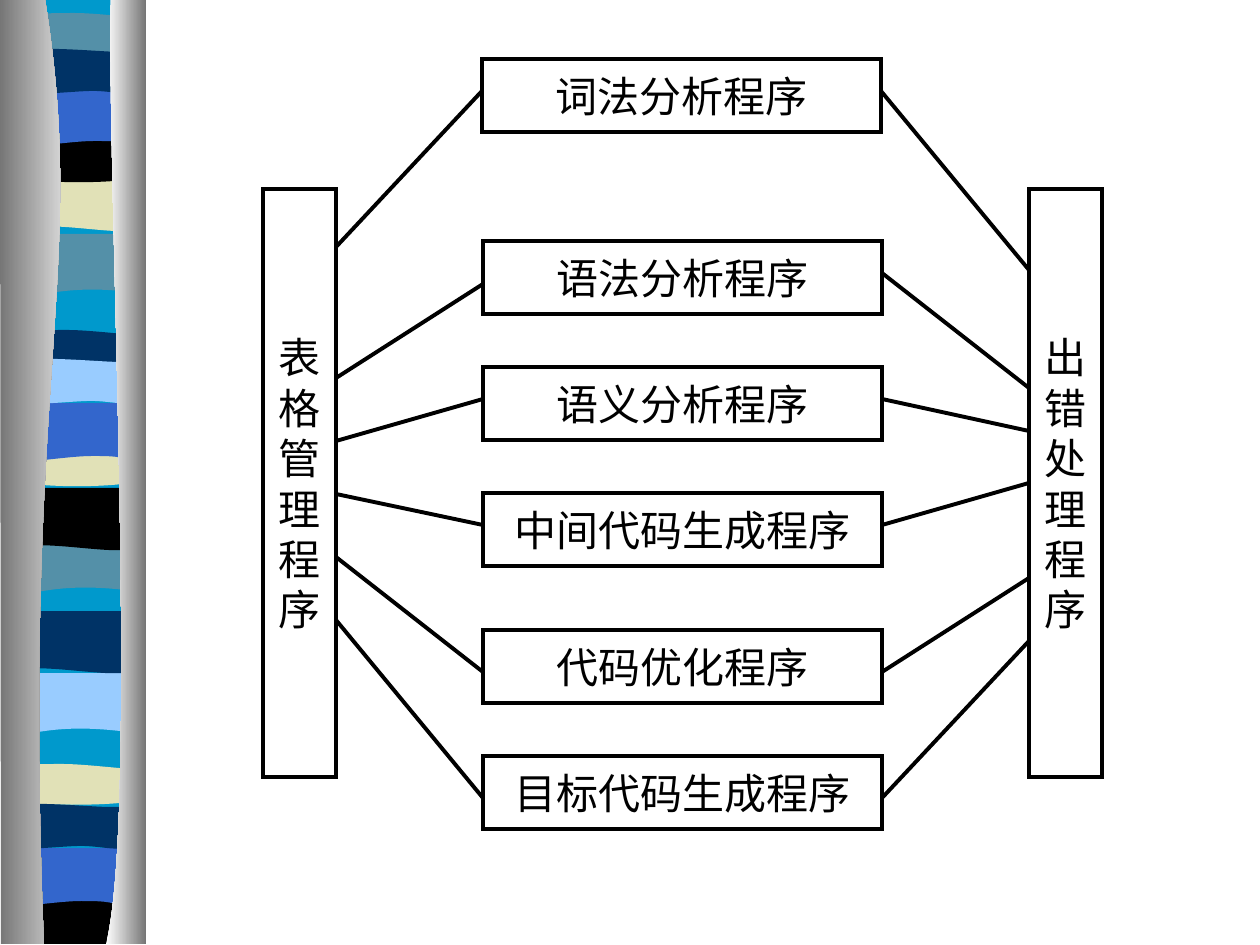
import lxml.etree
import pptx
import pptx.dml.color
import pptx.enum.shapes
import pptx.enum.text
import pptx.oxml.ns
import pptx.util

RGB = pptx.dml.color.RGBColor
BLACK, WHITE = RGB(0, 0, 0), RGB(255, 255, 255)
SKY, TEAL, NAVY = RGB(0x00, 0x99, 0xCC), RGB(0x54, 0x90, 0xA8), RGB(0x00, 0x33, 0x66)
BLUE, PALE, CREAM = RGB(0x33, 0x66, 0xCC), RGB(0x99, 0xCC, 0xFF), RGB(0xE1, 0xE1, 0xB7)
GREY = RGB(0x76, 0x76, 0x76)
FONT = "Times New Roman"
EMU_PER_PX = 914400 / 126

# Compiler stages: name, left, top, then line ends at table bar, box left, box right, error bar
STAGES = [
    ("语法分析程序", 483, 241, 378, 284, 273, 388),
    ("语义分析程序", 483, 367, 441, 399, 399, 431),
    ("目标代码生成程序", 483, 756, 620, 798, 798, 641),
    ("词法分析程序", 482, 59, 247, 91, 91, 270),
    ("中间代码生成程序", 483, 493, 494, 525, 525, 483),
    ("代码优化程序", 483, 630, 557, 672, 672, 578),
]
STAGE_W, BOX_THICK = 399, 73
TABLE_BAR, ERROR_BAR = ("表格管理程序", 263), ("出错处理程序", 1029)
BAR_TOP, BAR_H = 189, 588

# Outlines are a start point, then segments: one point for a line, three for a curve
FLAT_TOP = [[(0, 0)], [(122, 0)]]
DIP_TOP = [[(0, 0)], [(76, 6), (96, 0), (122, 0)]]
PROFILES = {
    "swell": FLAT_TOP + [[(122, 59)], [(38, 48), (20, 68), (0, 59)]],
    "ripple": FLAT_TOP + [[(122, 59)], [(102, 69), (38, 52), (0, 59)]],
    "arch": [[(0, 6)], [(8, 0), (27, 0), (52, 0)], [(73, 0), (112, 5), (122, 5)],
             [(122, 37)], [(102, 42), (20, 42), (0, 37)]],
    "dip": DIP_TOP + [[(122, 41)], [(102, 48), (20, 48), (0, 41)]],
    "end": DIP_TOP + [[(122, 47)], [(0, 47)]],
    "crest": FLAT_TOP + [[(122, 59)], [(103, 53), (96, 53), (76, 53)],
                         [(55, 53), (19, 59), (0, 59)]],
    "wave": [[(0, 7)], [(17, 0), (83, 7), (103, 7)], [(123, 7), (118, 7), (122, 7)],
             [(122, 46)], [(114, 52), (95, 46), (75, 46)], [(55, 46), (12, 52), (0, 46)]],
}
BASE = [[(18, -1)], [(140, -1)], [(140, 940)], [(18, 940)]]
BANDS = [  # profile, left, top, colour
    ("swell", 18, 234, TEAL), ("ripple", 23, 169, CREAM), ("arch", 23, 13, TEAL),
    ("dip", 18, 136, BLACK), ("crest", 18, 88, BLUE), ("wave", 18, 45, NAVY),
    ("swell", 11, 532, TEAL), ("ripple", 16, 488, BLACK), ("arch", 16, 330, NAVY),
    ("dip", 16, 440, CREAM), ("crest", 16, 403, BLUE), ("wave", 16, 355, PALE),
    ("swell", 6, 673, PALE), ("ripple", 13, 611, NAVY), ("arch", 11, 764, CREAM),
    ("end", 11, 897, BLACK), ("crest", 5, 848, BLUE), ("wave", 6, 800, NAVY),
]
EDGES = [  # outline, colours from left to right
    ([[(45, -1)], [(89, 272), (21, 373), (44, 944)], [(1, 944)], [(0, -1)]], (GREY, WHITE)),
    ([[(111, -1)], [(106, 158), (140, 814), (106, 944)], [(146, 944)], [(146, -1)]],
     (WHITE, GREY)),
]


def px(length):
    return pptx.util.Emu(round(length * EMU_PER_PX))


def add_outline(shapes, segments, left=0, top=0):
    corners = [(px(x + left), px(y + top)) for segment in segments for x, y in segment]
    builder = shapes.build_freeform(*corners[0], scale=1.0)
    builder.add_line_segments(corners[1:], close=True)
    outline = builder.convert_to_shape()
    outline.shadow.inherit = False
    outline.line.fill.background()

    # Join each run of three points into one cubic curve
    qn = pptx.oxml.ns.qn
    steps = iter(outline._element.findall(".//" + qn("a:lnTo")))
    for segment in segments[1:]:
        parts = [next(steps) for _ in segment]
        if len(parts) == 3:
            curve = lxml.etree.Element(qn("a:cubicBezTo"))
            parts[0].addprevious(curve)
            for part in parts:
                curve.append(part[0])
                part.getparent().remove(part)
    return outline


def paint(shape, colour):
    shape.fill.solid()
    shape.fill.fore_color.rgb = colour


def draw_line(line):
    line.color.rgb = BLACK
    line.width = pptx.util.Pt(2.25)


def add_box(shapes, lines, left, top, width, height):
    box = shapes.add_shape(pptx.enum.shapes.MSO_SHAPE.RECTANGLE,
                           px(left), px(top), px(width), px(height))
    box.shadow.inherit = False
    paint(box, WHITE)
    draw_line(box.line)
    lxml.etree.SubElement(box.line._get_or_add_ln(), pptx.oxml.ns.qn("a:miter"), lim="800000")
    frame = box.text_frame
    frame.word_wrap = False
    frame.vertical_anchor = pptx.enum.text.MSO_ANCHOR.MIDDLE
    for index, line in enumerate(lines):
        paragraph = frame.add_paragraph() if index else frame.paragraphs[0]
        paragraph.alignment = pptx.enum.text.PP_ALIGN.CENTER
        run = paragraph.add_run()
        run.text = line
        run.font.name = FONT
        run.font.size = pptx.util.Pt(24)
        run.font.color.rgb = BLACK


def add_bar(shapes, name, left):
    add_box(shapes, name, left, BAR_TOP, BOX_THICK, BAR_H)


def add_link(shapes, x1, y1, x2, y2):
    link = shapes.add_connector(pptx.enum.shapes.MSO_CONNECTOR.STRAIGHT,
                                px(x1), px(y1), px(x2), px(y2))
    draw_line(link.line)
    lxml.etree.SubElement(link._element.spPr, pptx.oxml.ns.qn("a:effectLst"))


def main():
    deck = pptx.Presentation()
    deck.slide_width, deck.slide_height = px(1260), px(945)
    slide = deck.slides.add_slide(deck.slide_layouts[6])

    # Striped ribbon
    ribbon = slide.shapes.add_group_shape().shapes
    paint(add_outline(ribbon, BASE), SKY)
    for profile, left, top, colour in BANDS:
        paint(add_outline(ribbon, PROFILES[profile], left, top), colour)

    # Metal edges of the ribbon
    for segments, shades in EDGES:
        edge = add_outline(ribbon, segments)
        edge.fill.gradient()
        edge.fill.gradient_angle = 0
        for stop, shade in zip(edge.fill.gradient_stops, shades):
            stop.color.rgb = shade

    # Stages between the two bars, each grouped with its links
    add_bar(slide.shapes, *ERROR_BAR)
    for name, left, top, table_y, left_y, right_y, error_y in STAGES:
        stage = slide.shapes.add_group_shape().shapes
        add_box(stage, [name], left, top, STAGE_W, BOX_THICK)
        add_link(stage, left, left_y, TABLE_BAR[1] + BOX_THICK, table_y)
        add_link(stage, ERROR_BAR[1], error_y, left + STAGE_W, right_y)
    add_bar(slide.shapes, *TABLE_BAR)

    deck.save("out.pptx")


if __name__ == "__main__":
    main()
